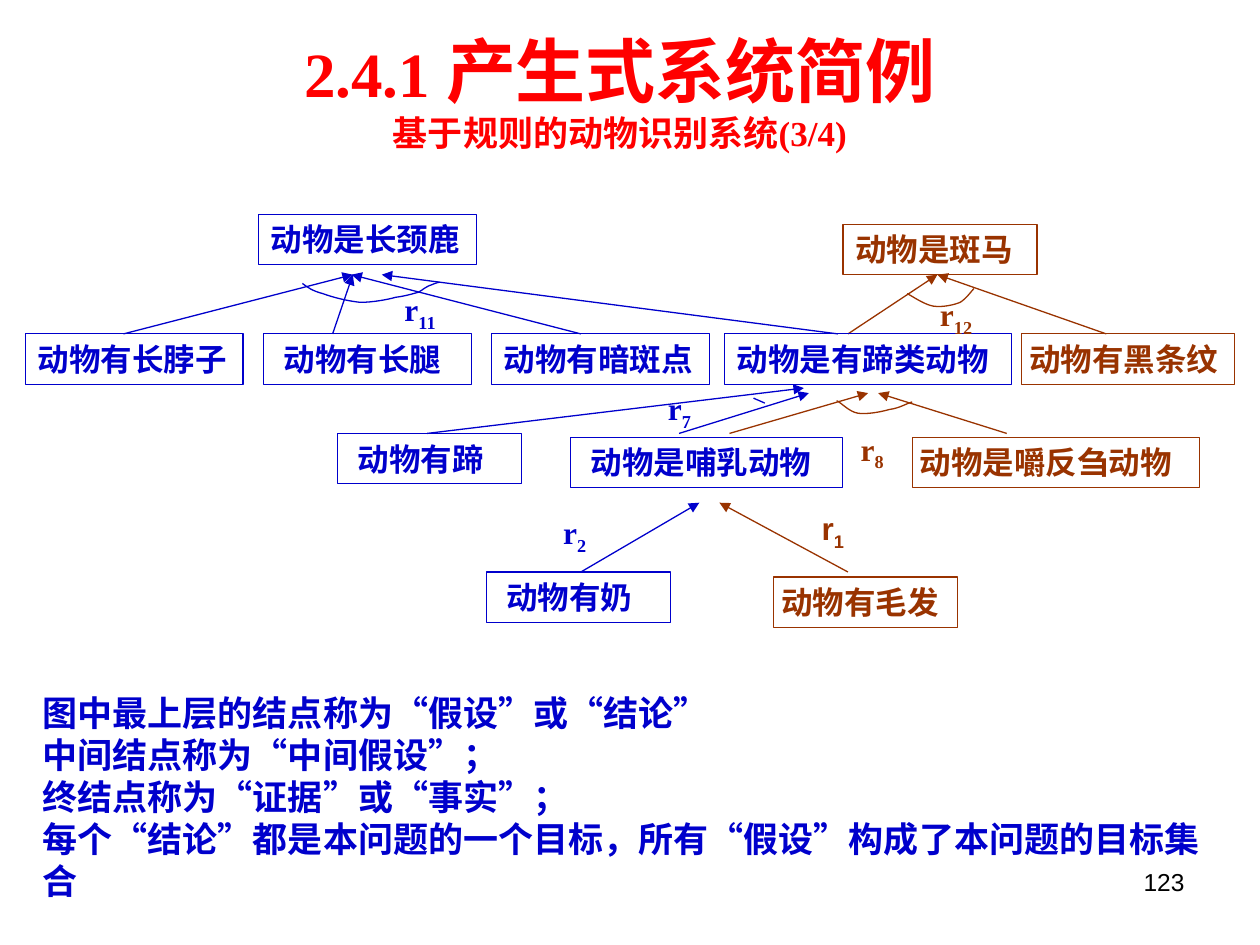
from typing import NamedTuple

from lxml import etree
from pptx import Presentation
from pptx.dml.color import RGBColor
from pptx.enum.shapes import MSO_CONNECTOR, MSO_SHAPE
from pptx.enum.text import MSO_ANCHOR, PP_ALIGN
from pptx.oxml.ns import qn
from pptx.util import Pt

RECTANGLE = MSO_SHAPE.RECTANGLE
STRAIGHT = MSO_CONNECTOR.STRAIGHT
LEFT, CENTER, RIGHT = PP_ALIGN.LEFT, PP_ALIGN.CENTER, PP_ALIGN.RIGHT
TOP, MIDDLE = MSO_ANCHOR.TOP, MSO_ANCHOR.MIDDLE

EMU_PER_PX = 9144  # 100 px to the inch
BLUE, BROWN, RED, BLACK = "0000CC", "993300", "FF0000", "000000"
SERIF, SANS = "Times New Roman", "Arial"
NODE_HEIGHT = 40
LINE_POINTS = 0.75


class Node(NamedTuple):
    text: str
    left: int
    top: int
    width: int
    color: str = BLUE
    inset: int = 10


class Link(NamedTuple):
    start: tuple[int, int]
    end: tuple[int, int]
    color: str = BLUE


class Arc(NamedTuple):
    points: list[tuple[int, int]]  # start, then three points per Bézier curve
    color: str = BLUE


class RuleLabel(NamedTuple):
    number: str
    left: int
    top: int
    color: str = BLUE
    font: str = SERIF


# Rows of the inference network, from conclusions to facts
NODES = [
    Node("动物是长颈鹿", 205, 170, 173),
    Node("动物是斑马", 669, 178, 154, BROWN),
    Node("动物有长脖子", 20, 265, 173),
    Node("动物有长腿", 209, 265, 165, inset=16),
    Node("动物有暗斑点", 390, 265, 173),
    Node("动物是有蹄类动物", 575, 265, 228),
    Node("动物有黑条纹", 811, 265, 169, BROWN, 6),
    Node("动物有蹄", 268, 344, 146, inset=16),
    Node("动物是哺乳动物", 453, 347, 216, inset=16),
    Node("动物是嚼反刍动物", 724, 347, 228, BROWN, 6),
    Node("动物有奶", 386, 454, 146, inset=16),
    Node("动物有毛发", 614, 458, 146, BROWN, 6),
]
LINKS = [
    Link((98, 265), (280, 218)),
    Link((264, 265), (280, 218)),
    Link((461, 265), (279, 218)),
    Link((665, 265), (303, 218)),
    Link((673, 265), (744, 218), BROWN),
    Link((878, 265), (744, 218), BROWN),
    Link((339, 344), (638, 308)),
    Link((539, 344), (642, 312)),
    Link((799, 344), (697, 312), BROWN),
    Link((579, 344), (689, 312), BROWN),
    Link((461, 454), (555, 399)),
    Link((673, 454), (571, 399), BROWN),
]
ARCS = [
    Arc([(240, 225), (244, 228), (248, 231), (256, 233), (264, 236), (276, 239),
         (286, 240), (295, 240), (307, 238), (314, 236), (322, 235), (328, 233),
         (332, 232), (336, 230), (337, 228), (340, 227), (343, 226), (347, 224),
         (349, 224)]),
    Arc([(720, 233), (724, 235), (734, 242), (741, 243), (748, 244), (757, 242),
         (762, 240), (767, 237), (771, 231), (773, 229)], BROWN),
    Arc([(664, 318), (667, 319), (674, 327), (681, 328), (688, 329), (699, 327),
         (706, 325), (714, 324), (720, 320), (724, 319)], BROWN),
    Arc([(598, 316), (600, 317), (605, 319), (607, 320)]),
]
RULE_LABELS = [
    RuleLabel("11", 319, 229),
    RuleLabel("12", 744, 233, BROWN),
    RuleLabel("7", 528, 308),
    RuleLabel("8", 681, 340, BROWN),
    RuleLabel("2", 445, 406),
    RuleLabel("1", 650, 403, BROWN, SANS),
]
NOTES = [
    "图中最上层的结点称为“假设”或“结论”",
    "中间结点称为“中间假设”；",
    "终结点称为“证据”或“事实”；",
    "每个“结论”都是本问题的一个目标，所有“假设”构成了本问题的目标集合",
]


def px(value: int) -> int:
    return value * EMU_PER_PX


def rgb(color: str) -> RGBColor:
    return RGBColor.from_string(color)


def style_line(shape, color: str) -> None:
    shape.line.color.rgb = rgb(color)
    shape.line.width = Pt(LINE_POINTS)


def add_run(paragraph, text: str, *, size: int = 18, color: str = BLUE,
            font: str = SERIF, bold: bool = True, baseline: int = 0) -> None:
    run = paragraph.add_run()
    run.text = text
    run.font.size = Pt(size)
    run.font.name = font
    run.font.bold = bold
    run.font.color.rgb = rgb(color)
    if baseline:
        run.font._element.set("baseline", str(baseline * 1000))


def prepare_frame(shape, *, inset: int = 10, inset_top: int = 5,
                  align=LEFT, anchor=TOP):
    """Set up the text frame and return its first paragraph."""
    frame = shape.text_frame
    frame.word_wrap = True
    frame.vertical_anchor = anchor
    frame.margin_left = px(inset)
    frame.margin_right = px(min(inset, 10))
    frame.margin_top = frame.margin_bottom = px(inset_top)
    frame.paragraphs[0].alignment = align
    return frame.paragraphs[0]


def add_text_box(slide, left: int, top: int, width: int, height: int):
    return slide.shapes.add_textbox(px(left), px(top), px(width), px(height))


def draw_node(slide, node: Node) -> None:
    shape = slide.shapes.add_shape(RECTANGLE, px(node.left), px(node.top),
                                   px(node.width), px(NODE_HEIGHT))
    shape.shadow.inherit = False
    shape.fill.background()
    style_line(shape, node.color)
    add_run(prepare_frame(shape, inset=node.inset), node.text, color=node.color)


def draw_link(slide, link: Link) -> None:
    connector = slide.shapes.add_connector(STRAIGHT, *map(px, link.start + link.end))
    style_line(connector, link.color)
    etree.SubElement(connector.line._get_or_add_ln(), qn("a:tailEnd"), type="triangle")
    etree.SubElement(connector._element.spPr, qn("a:effectLst"))


def draw_arc(slide, arc: Arc) -> None:
    builder = slide.shapes.build_freeform(*arc.points[0], scale=EMU_PER_PX)
    builder.add_line_segments(arc.points[1:], close=False)
    shape = builder.convert_to_shape()
    shape.shadow.inherit = False
    shape.fill.background()
    style_line(shape, arc.color)
    # Turn every three straight segments into one Bézier curve
    segments = list(shape._element.iter(qn("a:lnTo")))
    for index in range(0, len(segments), 3):
        curve = etree.Element(qn("a:cubicBezTo"))
        segments[index].addprevious(curve)
        for segment in segments[index:index + 3]:
            curve.append(segment[0])
            segment.getparent().remove(segment)


def draw_rule_label(slide, label: RuleLabel) -> None:
    box = add_text_box(slide, label.left, label.top, 59, 36)
    paragraph = prepare_frame(box, inset=2, inset_top=1)
    add_run(paragraph, "r", color=label.color, font=label.font)
    add_run(paragraph, label.number, color=label.color, font=label.font, baseline=-25)


def main() -> None:
    presentation = Presentation()
    presentation.slide_width, presentation.slide_height = px(1000), px(750)
    slide = presentation.slides.add_slide(presentation.slide_layouts[6])

    # Title
    title = prepare_frame(add_text_box(slide, 25, 21, 934, 102),
                          align=CENTER, anchor=MIDDLE)
    add_run(title, "2.4.1 ", size=36, color=RED)
    add_run(title, "产生式系统简例", size=40, color=RED)
    title.add_line_break()
    add_run(title, "基于规则的动物识别系统(3/4)", size=20, color=RED)

    # Inference network
    for draw, items in ((draw_link, LINKS), (draw_arc, ARCS),
                        (draw_node, NODES), (draw_rule_label, RULE_LABELS)):
        for item in items:
            draw(slide, item)

    # Explanation
    notes_box = add_text_box(slide, 24, 544, 957, 177)
    paragraph = prepare_frame(notes_box)
    for index, note in enumerate(NOTES):
        if index:
            paragraph = notes_box.text_frame.add_paragraph()
        add_run(paragraph, note, size=20)

    # Slide number
    number = prepare_frame(add_text_box(slide, 717, 683, 233, 52), align=RIGHT)
    add_run(number, "123", size=14, color=BLACK, font=SANS, bold=False)

    presentation.save("out.pptx")


if __name__ == "__main__":
    main()
